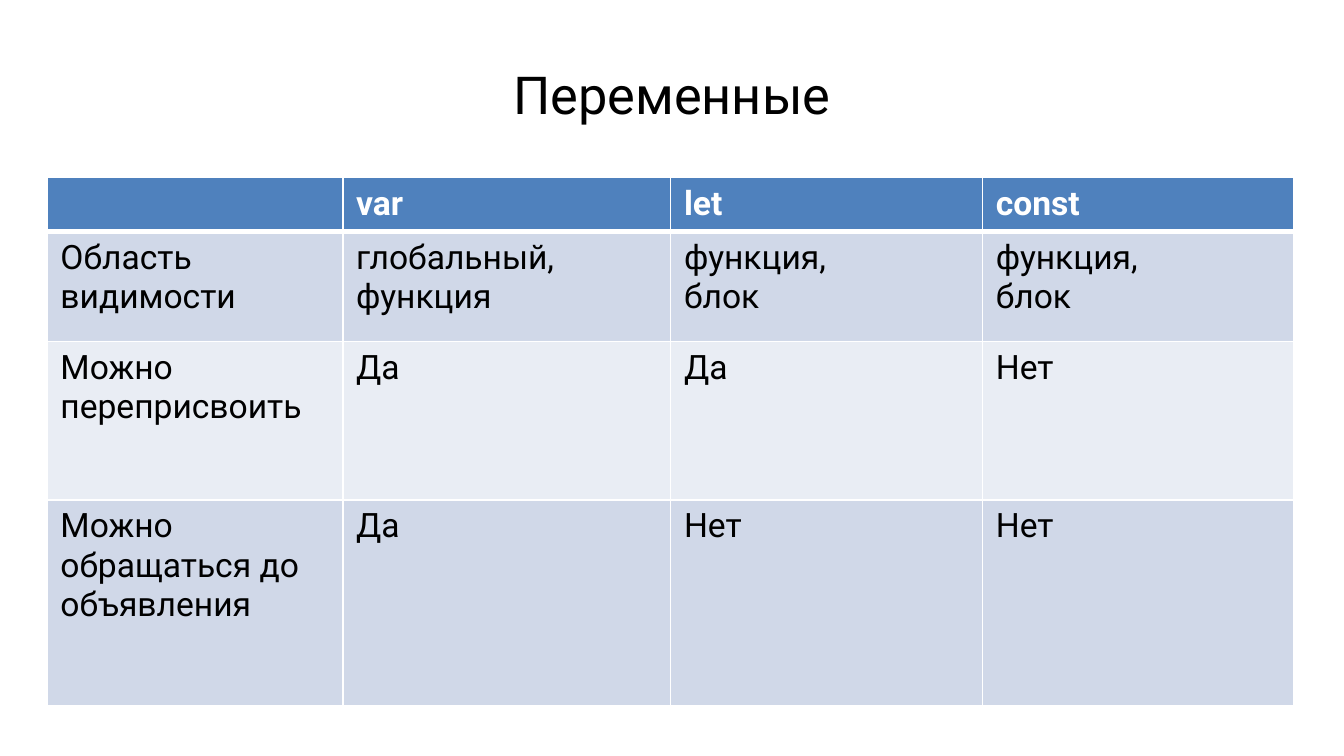
from lxml import etree
from pptx import Presentation
from pptx import util as u
from pptx.dml.color import RGBColor
from pptx.enum import text
from pptx.oxml import ns


def color(value):
    return RGBColor.from_string(value)


def add_border(cell, side, width):
    properties = cell._tc.get_or_add_tcPr()
    line = etree.SubElement(properties, ns.qn(f"a:ln{side}"), w=str(u.Pt(width)))
    fill = etree.SubElement(line, ns.qn("a:solidFill"))
    etree.SubElement(fill, ns.qn("a:srgbClr"), val="FFFFFF")


presentation = Presentation()
presentation.slide_width = u.Inches(10)
presentation.slide_height = u.Inches(10 * 9 / 16)
slide = presentation.slides.add_slide(presentation.slide_layouts[6])

title = slide.shapes.add_textbox(
    u.Inches(0.5), u.Inches(0.23), u.Inches(9), u.Inches(0.94)
)
title.text_frame.word_wrap = True
title.text_frame.vertical_anchor = text.MSO_ANCHOR.MIDDLE
paragraph = title.text_frame.paragraphs[0]
paragraph.text = "Переменные"
paragraph.alignment = text.PP_ALIGN.CENTER
paragraph.font.name = "Roboto"
paragraph.font.size = u.Pt(28)
paragraph.font.color.rgb = color("000000")

rows = [
    ["", "var", "let", "const"],
    ["Область видимости", "глобальный,\nфункция", "функция,\nблок", "функция,\nблок"],
    ["Можно переприсвоить", "Да", "Да", "Нет"],
    ["Можно обращаться до объявления", "Да", "Нет", "Нет"],
]
column_widths = [2.2, 2.44, 2.32, 2.32]
row_heights = [0.4, 0.82, 1.18, 1.53]
row_fills = ["4F81BD", "D0D8E8", "E9EDF4", "D0D8E8"]

table = slide.shapes.add_table(
    len(rows), len(column_widths),
    u.Inches(0.35), u.Inches(1.32),
    u.Inches(sum(column_widths)), u.Inches(sum(row_heights)),
).table
for column, width in zip(table.columns, column_widths):
    column.width = u.Inches(width)

for row_index, values in enumerate(rows):
    table.rows[row_index].height = u.Inches(row_heights[row_index])
    is_header = row_index == 0
    for column_index, value in enumerate(values):
        cell = table.cell(row_index, column_index)
        top_width = 3 if row_index == 1 else 1
        bottom_width = 3 if is_header else 1
        for side, width in zip("LRTB", [1, 1, top_width, bottom_width]):
            add_border(cell, side, width)
        cell.fill.solid()
        cell.fill.fore_color.rgb = color(row_fills[row_index])
        cell.text = value
        for paragraph in cell.text_frame.paragraphs:
            paragraph.font.name = "Roboto"
            paragraph.font.size = u.Pt(18)
            paragraph.font.bold = is_header
            paragraph.font.color.rgb = color("FFFFFF" if is_header else "000000")

presentation.save("out.pptx")
